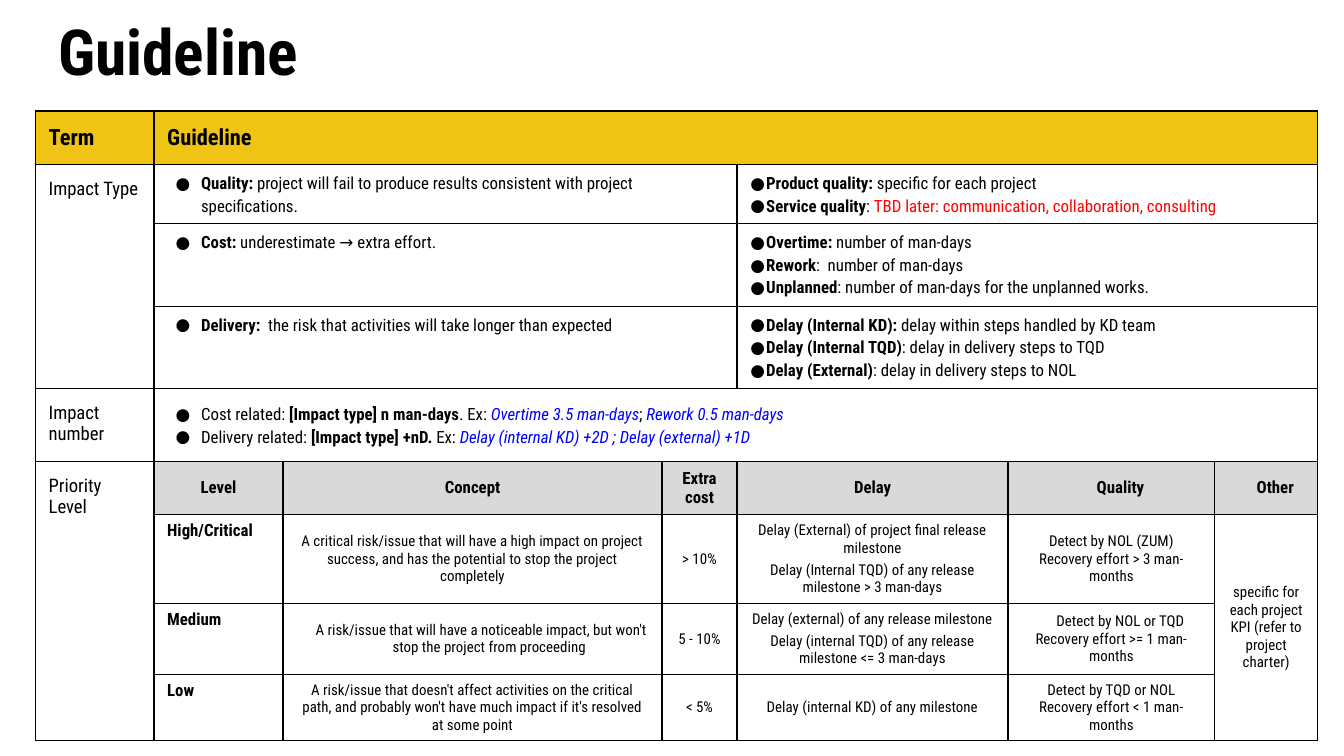
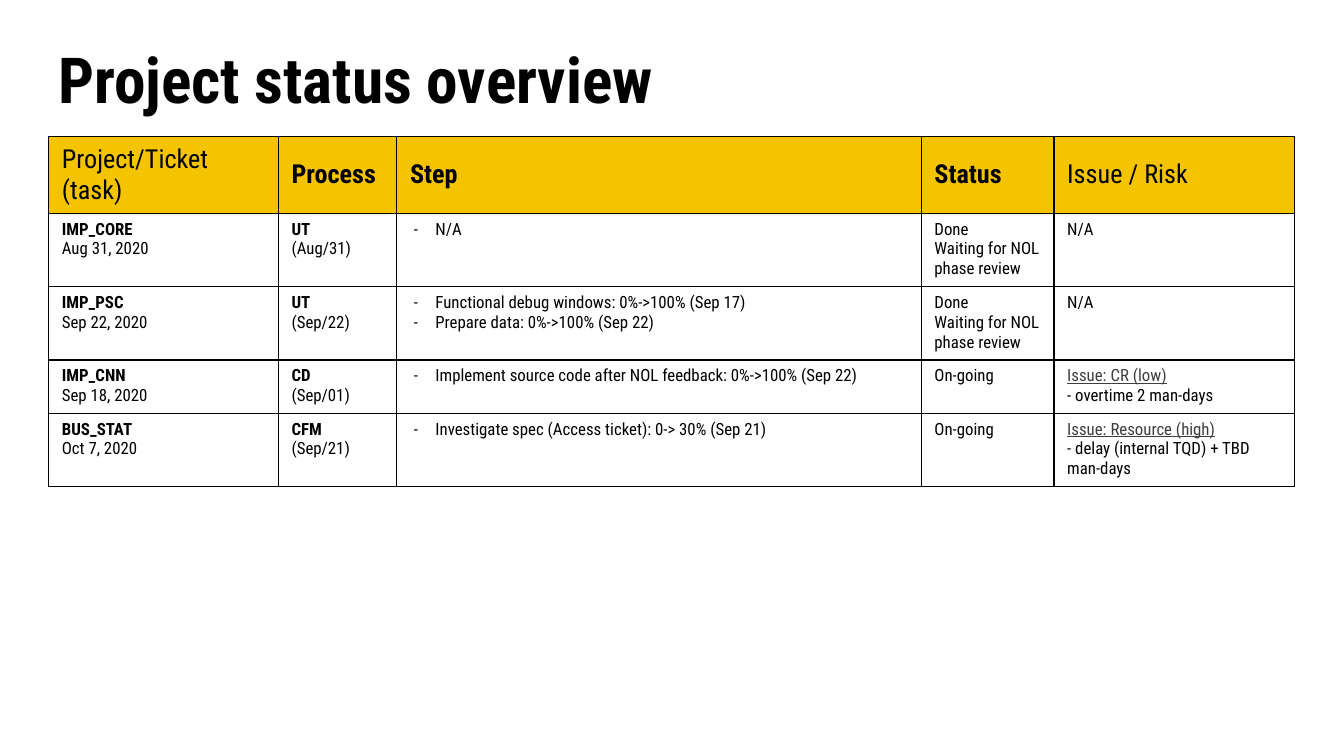
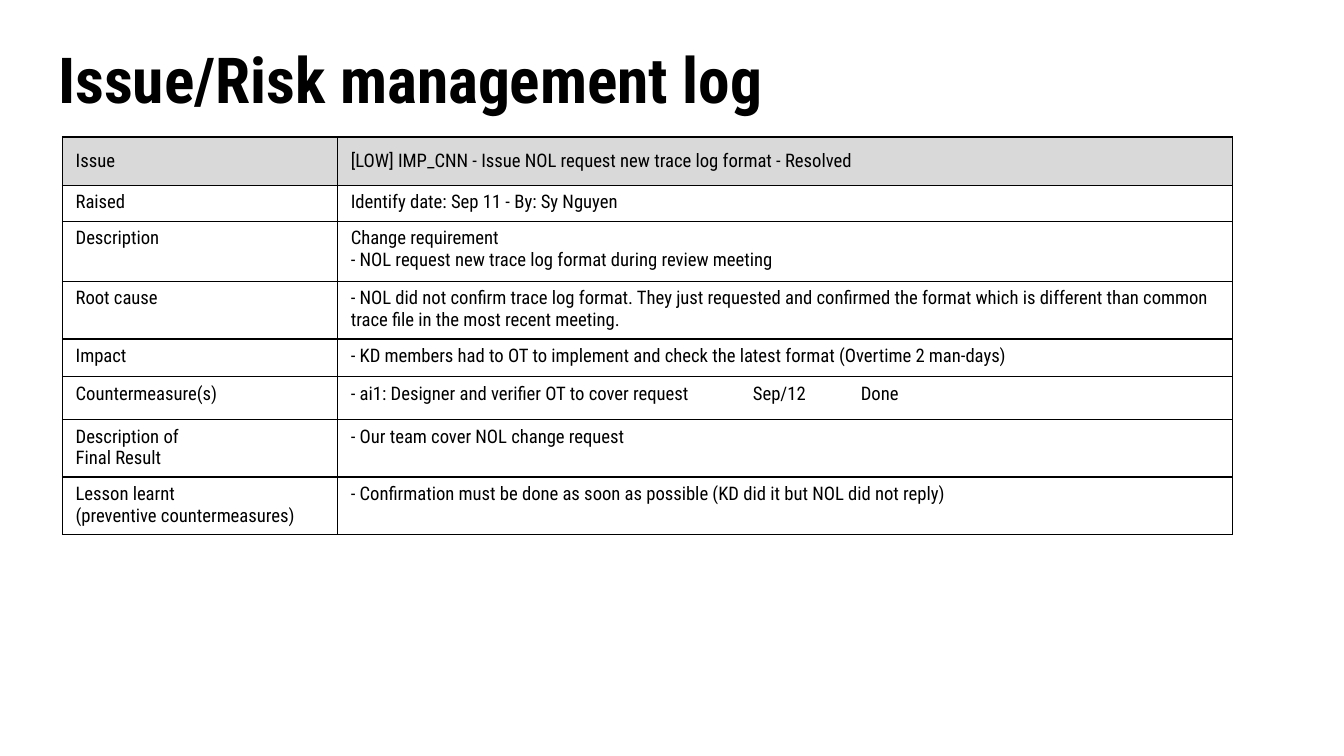
from dataclasses import dataclass, replace
from typing import Any, Iterator

from lxml.etree import SubElement as Sub
from pptx import Presentation
from pptx.dml.color import RGBColor as Rgb
from pptx.enum.text import MSO_ANCHOR as Anchor, PP_ALIGN as Align
from pptx.oxml.ns import qn
from pptx.util import Cm, Pt

FONT = "Roboto Condensed"
COLORS = {
    "ink": "000000", "white": "FFFFFF", "gold": "EFC415", "amber": "F5C400",
    "grey": "D9D9D9", "red": "FF0000", "blue": "0000FF", "dim": "3F3F3F",
}
# Each mark switches a text format on and off again
MARKS: dict[str, dict[str, Any]] = {
    "*": {"bold": True},
    "~": {"italic": True, "color": "blue"},
    "^": {"color": "red"},
    "|": {"underline": True, "color": "dim"},
}


@dataclass(frozen=True)
class Look:
    size: float = 9
    bold: bool = False
    fill: str = ""
    middle: bool = False
    center: bool = False
    pad: float = 0.12
    bullet: str = ""
    left: float = 0
    hang: float = 0
    lead: bool = False  # indent the first paragraph only
    line: float = 1
    gap: float = 0
    tabs: tuple[float, ...] = ()


@dataclass(frozen=True)
class Cell:
    row: int
    col: int
    text: str
    look: Look
    across: int = 1
    down: int = 1


@dataclass(frozen=True)
class Grid:
    left: float
    top: float
    cols: list[float]
    rows: list[float]
    cells: list[Cell]


@dataclass(frozen=True)
class Page:
    title: str
    top: float
    grid: Grid


# Text and table tools
def put(item: Any, values: dict[str, Any]) -> None:
    for name, value in values.items():
        setattr(item, name, value)


def split(text: str) -> Iterator[tuple[str, str]]:
    mark, part = "", ""
    for char in text:
        if char in MARKS:
            if part:
                yield part, mark
            mark, part = "" if mark else char, ""
        else:
            part += char
    if part:
        yield part, mark


def add_runs(para: Any, text: str, size: float, bold: bool) -> None:
    for part, mark in split(text):
        run = para.add_run()
        run.text = part
        form = {"name": FONT, "size": Pt(size), "bold": bold, **MARKS.get(mark, {})}
        run.font.color.rgb = Rgb.from_string(COLORS[form.pop("color", "ink")])
        put(run.font, form)


def set_para(para: Any, look: Look, first: bool) -> None:
    put(para, {
        "alignment": Align.CENTER if look.center else Align.LEFT,
        "line_spacing": look.line,
        "space_before": Pt(0 if first else look.gap),
    })
    props = para._p.get_or_add_pPr()
    if look.left and (first or not look.lead):
        props.set("marL", str(Cm(look.left)))
        props.set("indent", str(Cm(-look.hang)))
    if look.bullet:
        Sub(Sub(props, qn("a:buClr")), qn("a:srgbClr"), val=COLORS["ink"])
        Sub(props, qn("a:buFont"), typeface=FONT)
        Sub(props, qn("a:buChar"), char=look.bullet)
    if look.tabs:
        stops = Sub(props, qn("a:tabLst"))
        for stop in look.tabs:
            Sub(stops, qn("a:tab"), pos=str(Cm(stop)), algn="l")


def set_edges(cell: Any) -> None:
    props = cell._tc.get_or_add_tcPr()
    for side in "LRTB":
        edge = Sub(props, qn(f"a:ln{side}"), w=str(Pt(0.75)))
        Sub(Sub(edge, qn("a:solidFill")), qn("a:srgbClr"), val=COLORS["ink"])


def fill_cell(table: Any, spec: Cell) -> None:
    cell, look = table.cell(spec.row, spec.col), spec.look
    if spec.across * spec.down > 1:
        cell.merge(table.cell(spec.row + spec.down - 1, spec.col + spec.across - 1))
    put(cell, {
        "margin_left": Cm(0.25), "margin_right": Cm(0.25),
        "margin_top": Cm(look.pad), "margin_bottom": Cm(look.pad),
        "vertical_anchor": Anchor.MIDDLE if look.middle else Anchor.TOP,
    })
    if look.fill:
        cell.fill.solid()
        cell.fill.fore_color.rgb = Rgb.from_string(COLORS[look.fill])
    frame = cell.text_frame
    for i, text in enumerate(spec.text.split("\n")):
        para = frame.add_paragraph() if i else frame.paragraphs[0]
        set_para(para, look, i == 0)
        add_runs(para, text, look.size, look.bold)


def add_grid(slide: Any, grid: Grid) -> None:
    table = slide.shapes.add_table(
        len(grid.rows), len(grid.cols), Cm(grid.left), Cm(grid.top),
        Cm(sum(grid.cols)), Cm(sum(grid.rows))).table
    put(table, {"first_row": False, "horz_banding": False})
    for col, width in zip(table.columns, grid.cols):
        col.width = Cm(width)
    for row, height in zip(table.rows, grid.rows):
        row.height = Cm(height)
    for cell in table.iter_cells():
        set_edges(cell)
        cell.fill.background()
    for spec in grid.cells:
        fill_cell(table, spec)


def add_title(slide: Any, text: str, top: float) -> None:
    frame = slide.shapes.add_textbox(Cm(0.91), Cm(top), Cm(23.57), Cm(2.06)).text_frame
    put(frame, {
        "word_wrap": True, "vertical_anchor": Anchor.MIDDLE,
        "margin_left": Cm(0.19), "margin_right": Cm(0.19),
        "margin_top": Cm(0.1), "margin_bottom": Cm(0.1),
    })
    para = frame.paragraphs[0]
    para.line_spacing = 0.9
    add_runs(para, text, 34, True)


# Guideline
HEAD = Look(size=12, bold=True, fill="gold", pad=0.25)
TERM = Look(size=10, pad=0.25)
DOT = Look(bullet="●", left=0.64, hang=0.48, line=1.15)
NEAR = replace(DOT, left=0.3, hang=0.3)
LEVEL = Look(bold=True)
NAME = Look(bold=True, fill="grey", middle=True, center=True)
NOTE = Look(size=8, middle=True, center=True)
INSET = {"left": 0.64, "hang": 0.3}
SHIFT = replace(NOTE, **INSET, lead=True)
APART = replace(NOTE, gap=2.4)

IMPACTS = [
    ("*Quality: *project will fail to produce results consistent with project specifications.",
     "*Product quality: *specific for each project\n"
     "*Service quality*: ^TBD later: communication, collaboration, consulting^"),
    ("*Cost:* underestimate → extra effort.",
     "*Overtime: *number of man-days\n*Rework*:  number of man-days\n"
     "*Unplanned*: number of man-days for the unplanned works."),
    ("*Delivery:*  the risk that activities will take longer than expected",
     "*Delay (Internal KD):* delay within steps handled by KD team\n"
     "*Delay (Internal TQD)*: delay in delivery steps to TQD\n"
     "*Delay (External)*: delay in delivery steps to NOL"),
]
NAMES = ["Level", "Concept", "Extra cost", "Delay", "Quality", "Other"]
LEVELS = [
    ("High/Critical",
     "A critical risk/issue that will have a high impact on project success, "
     "and has the potential to stop the project completely",
     "> 10%",
     "Delay (External) of project final release milestone\n"
     "Delay (Internal TQD) of any release milestone > 3 man-days",
     "Detect by NOL (ZUM)\nRecovery effort > 3 man-months"),
    ("Medium",
     "A risk/issue that will have a noticeable impact, but won't stop the project "
     "from proceeding",
     "5 - 10%",
     "Delay (external) of any release milestone\n"
     "Delay (internal TQD) of any release milestone <= 3 man-days",
     "Detect by NOL or TQD\nRecovery effort >= 1 man-months"),
    ("Low",
     "A risk/issue that doesn't affect activities on the critical path, and probably "
     "won't have much impact if it's resolved at some point",
     "< 5%",
     "Delay (internal KD) of any milestone",
     "Detect by TQD or NOL\nRecovery effort < 1 man-months"),
]


def guide() -> Grid:
    cells = [
        Cell(0, 0, "Term", HEAD),
        Cell(0, 1, "Guideline", HEAD, across=6),
        Cell(1, 0, "Impact Type", TERM, down=3),
        Cell(4, 0, "Impact number", TERM),
        Cell(4, 1,
             "Cost related: *[Impact type] n man-days*. Ex: "
             "~Overtime 3.5 man-days~; ~Rework 0.5 man-days~\n"
             "Delivery related:* [Impact type] +nD. *Ex: "
             "~Delay (internal KD) +2D ; Delay (external) +1D~",
             replace(DOT, pad=0.25), across=6),
        Cell(5, 0, "Priority Level", TERM, down=4),
        Cell(6, 6, "specific for each project KPI (refer to project charter)", NOTE, down=3),
    ]
    for row, (cause, kinds) in enumerate(IMPACTS, 1):
        cells += [Cell(row, 1, cause, DOT, across=3), Cell(row, 4, kinds, NEAR, across=3)]
    for col, name in enumerate(NAMES, 1):
        cells.append(Cell(5, col, name, replace(NAME, **INSET) if col > 4 else NAME))
    for row, texts in enumerate(LEVELS, 6):
        side = SHIFT if row == 7 else NOTE
        looks = [LEVEL, side, NOTE, APART, side]
        cells += [Cell(row, col, text, look)
                  for col, (text, look) in enumerate(zip(texts, looks), 1)]
    return Grid(0.67, 2.1, [2.24, 2.44, 7.16, 1.42, 5.12, 3.91, 1.94],
                [1.01, 1.1, 1.53, 1.55, 1.36, 1, 1.64, 1.34, 1.25], cells)


# Project status
BODY = Look(fill="white")
DASH = replace(BODY, bullet="-", left=0.48, hang=0.41)
TOP = Look(size=14, fill="amber", middle=True)
WAIT = "Done\nWaiting for NOL phase review"
STATUS = [
    ("Project/Ticket (task)", "*Process*", "*Step*", "*Status*", "Issue / Risk"),
    ("*IMP_CORE*\nAug 31, 2020", "*UT*\n(Aug/31)", "N/A", WAIT, "N/A"),
    ("*IMP_PSC*\nSep 22, 2020", "*UT*\n(Sep/22)",
     "Functional debug windows: 0%->100% (Sep 17)\nPrepare data: 0%->100% (Sep 22)",
     WAIT, "N/A"),
    ("*IMP_CNN*\nSep 18, 2020", "*CD*\n(Sep/01)",
     "Implement source code after NOL feedback: 0%->100% (Sep 22)",
     "On-going", "|Issue: CR (low)|\n- overtime 2 man-days"),
    ("*BUS_STAT*\nOct 7, 2020", "*CFM*\n(Sep/21)",
     "Investigate spec (Access ticket): 0-> 30% (Sep 21)",
     "On-going", "|Issue: Resource (high)|\n- delay (internal TQD) + TBD man-days"),
]


def status() -> Grid:
    cells = [Cell(row, col, text, TOP if row == 0 else DASH if col == 2 else BODY)
             for row, texts in enumerate(STATUS) for col, text in enumerate(texts)]
    return Grid(0.92, 2.58, [4.34, 2.24, 9.91, 2.51, 4.55],
                [1.45, 1.37, 1.37, 1, 1.37], cells)


# Issue log
ITEM = Look(size=10, fill="white", tabs=(7.6, 9.64))
LOG = [
    ("Issue", "[LOW] IMP_CNN - Issue NOL request new trace log format - Resolved"),
    ("Raised", "Identify date: Sep 11 - By: Sy Nguyen"),
    ("Description",
     "Change requirement\n- NOL request new trace log format during review meeting"),
    ("Root cause",
     "- NOL did not confirm trace log format. They just requested and confirmed the format "
     "which is different than common trace file in the most recent meeting."),
    ("Impact",
     "- KD members had to OT to implement and check the latest format (Overtime 2 man-days)"),
    ("Countermeasure(s)", "- ai1: Designer and verifier OT to cover request\tSep/12\tDone"),
    ("Description of\nFinal Result", "- Our team cover NOL change request"),
    ("Lesson learnt\n(preventive countermeasures)",
     "- Confirmation must be done as soon as possible (KD did it but NOL did not reply)"),
]


def log() -> Grid:
    first = replace(ITEM, fill="grey", middle=True)
    cells = [Cell(row, col, text, ITEM if row else first)
             for row, texts in enumerate(LOG) for col, text in enumerate(texts)]
    return Grid(1.18, 2.59, [5.2, 16.92],
                [0.91, 0.68, 1.14, 1.07, 0.71, 0.81, 1.07, 1.07], cells)


def main() -> None:
    deck = Presentation()
    put(deck, {"slide_width": Cm(25.4), "slide_height": Cm(14.29)})
    pages = [
        Page("Guideline", 0, guide()),
        Page("Project status overview", 0.53, status()),
        Page("Issue/Risk management log", 0.53, log()),
    ]
    for page in pages:
        slide = deck.slides.add_slide(deck.slide_layouts[6])
        add_title(slide, page.title, page.top)
        add_grid(slide, page.grid)
    deck.save("out.pptx")


if __name__ == "__main__":
    main()
